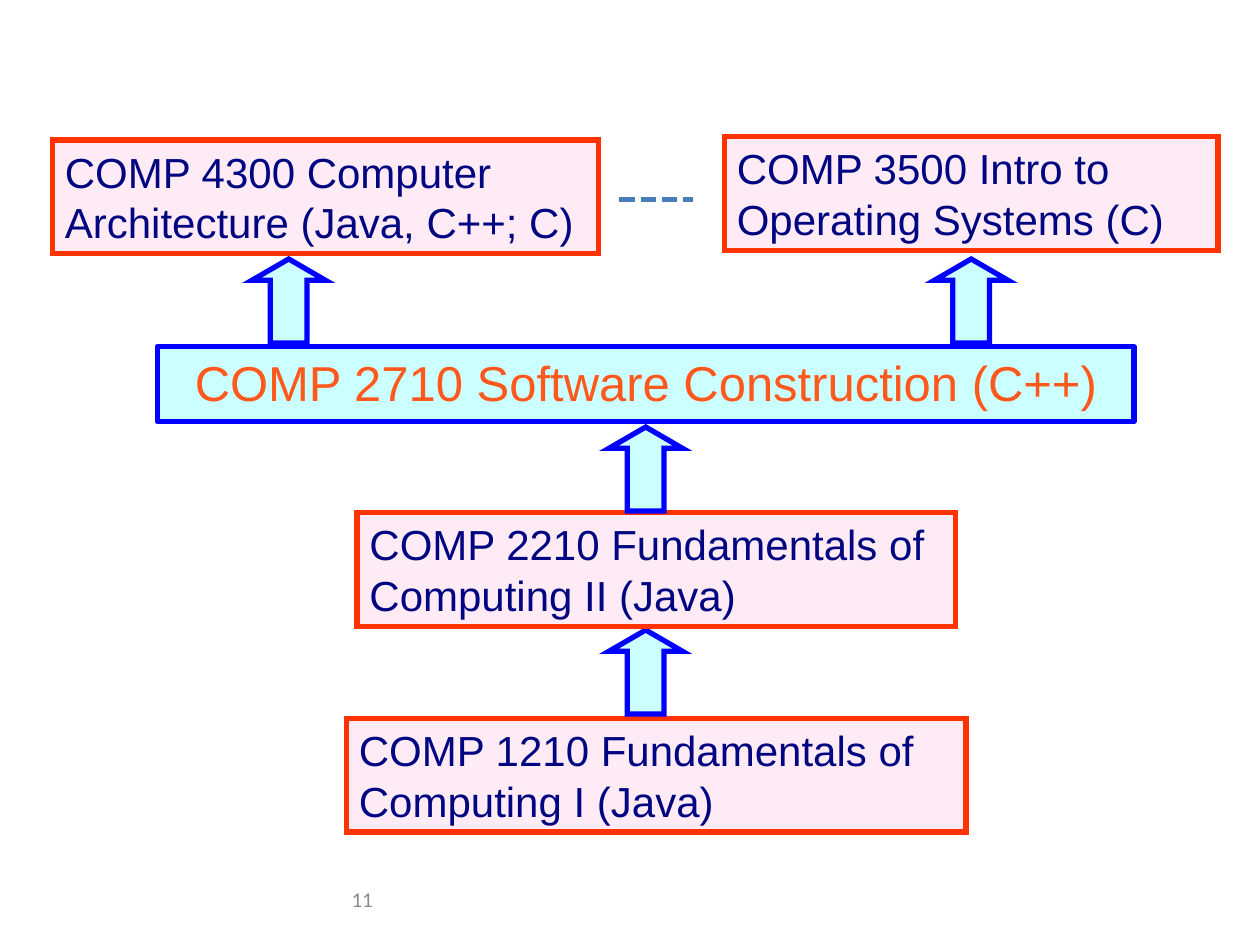
from lxml import etree
from pptx import Presentation
from pptx.dml.color import RGBColor
from pptx.enum import dml, shapes, text
from pptx.oxml import ns
from pptx.util import Pt

WHITE = RGBColor(0xFF, 0xFF, 0xFF)
CYAN = RGBColor(0xCC, 0xFF, 0xFF)
BLUE = RGBColor(0x00, 0x00, 0xFF)
ORANGE = RGBColor(0xFF, 0x58, 0x1D)
PINK = RGBColor(0xFF, 0xEB, 0xF5)
RED = RGBColor(0xFF, 0x33, 0x00)
NAVY = RGBColor(0x00, 0x06, 0x81)
STEEL = RGBColor(0x4A, 0x7E, 0xBB)
GREY = RGBColor(0x89, 0x89, 0x89)

LINE_WIDTH = 3
COURSE_HEIGHT = 65
ARROW_WIDTH, ARROW_HEIGHT = 42, 48

# course title, left, top, width, arrow left, arrow top
COURSES = [
    ("COMP 1210 Fundamentals of Computing I (Java)", 198, 410.5, 354, 348, 360),
    ("COMP 2210 Fundamentals of Computing II (Java)", 204, 293, 342, 348, 244),
    ("COMP 4300 Computer Architecture (Java, C++; C)", 30, 80, 312, 144, 148),
    ("COMP 3500 Intro to Operating Systems (C)", 414, 78, 282, 534, 148),
]


def add_outlined(parent, kind, bounds, fill, line):
    shape = parent.shapes.add_shape(kind, *map(Pt, bounds))
    shape.shadow.inherit = False
    shape.fill.solid()
    shape.fill.fore_color.rgb = fill
    shape.line.color.rgb = line
    shape.line.width = Pt(LINE_WIDTH)
    return shape


def sharpen_corners(shape):
    outline = shape.line._get_or_add_ln()
    etree.SubElement(outline, ns.qn("a:miter"), lim="800000")


def write(shape, words, size, color, align, anchor, font="Arial"):
    frame = shape.text_frame
    frame.word_wrap = True
    frame.vertical_anchor = anchor
    para = frame.paragraphs[0]
    para.alignment = align
    span = para.add_run()
    span.text = words
    span.font.name = font
    span.font.size = Pt(size)
    span.font.color.rgb = color


def add_arrow(parent, left, top):
    arrow = add_outlined(parent, shapes.MSO_SHAPE.UP_ARROW,
                         (left, top, ARROW_WIDTH, ARROW_HEIGHT), CYAN, BLUE)
    arrow.adjustments[0] = 0.5
    arrow.adjustments[1] = 0.29
    sharpen_corners(arrow)


def add_course(page, title, left, top, width, arrow_left, arrow_top):
    """Add a course box grouped with the arrow that joins it to its neighbour."""
    group = page.shapes.add_group_shape()
    box = add_outlined(group, shapes.MSO_SHAPE.RECTANGLE,
                       (left, top, width, COURSE_HEIGHT), PINK, RED)
    sharpen_corners(box)
    write(box, title, 24, NAVY, text.PP_ALIGN.LEFT, text.MSO_ANCHOR.TOP)
    add_arrow(group, arrow_left, arrow_top)


def add_main_course(page):
    box = add_outlined(page, shapes.MSO_SHAPE.RECTANGLE,
                       (90, 198, 558, 43), CYAN, BLUE)
    write(box, "COMP 2710 Software Construction (C++)", 28, ORANGE,
          text.PP_ALIGN.CENTER, text.MSO_ANCHOR.TOP)


def add_dashes(page, left, right, top):
    dashes = page.shapes.add_connector(
        shapes.MSO_CONNECTOR.STRAIGHT, Pt(left), Pt(top), Pt(right), Pt(top))
    dashes.line.color.rgb = STEEL
    dashes.line.width = Pt(LINE_WIDTH)
    dashes.line.dash_style = dml.MSO_LINE.SQUARE_DOT
    etree.SubElement(dashes._element.spPr, ns.qn("a:effectLst"))


def add_page_number(page):
    box = page.shapes.add_textbox(Pt(36), Pt(499), Pt(342), Pt(29))
    write(box, "11", 12, GREY, text.PP_ALIGN.CENTER, text.MSO_ANCHOR.MIDDLE,
          "Calibri")


def main():
    deck = Presentation()
    deck.slide_width, deck.slide_height = Pt(720), Pt(540)
    page = deck.slides.add_slide(deck.slide_layouts[6])
    page.background.fill.solid()
    page.background.fill.fore_color.rgb = WHITE
    add_page_number(page)
    add_main_course(page)
    for course in COURSES:
        add_course(page, *course)
    add_dashes(page, 354, 396, 114)
    deck.save("out.pptx")


if __name__ == "__main__":
    main()
